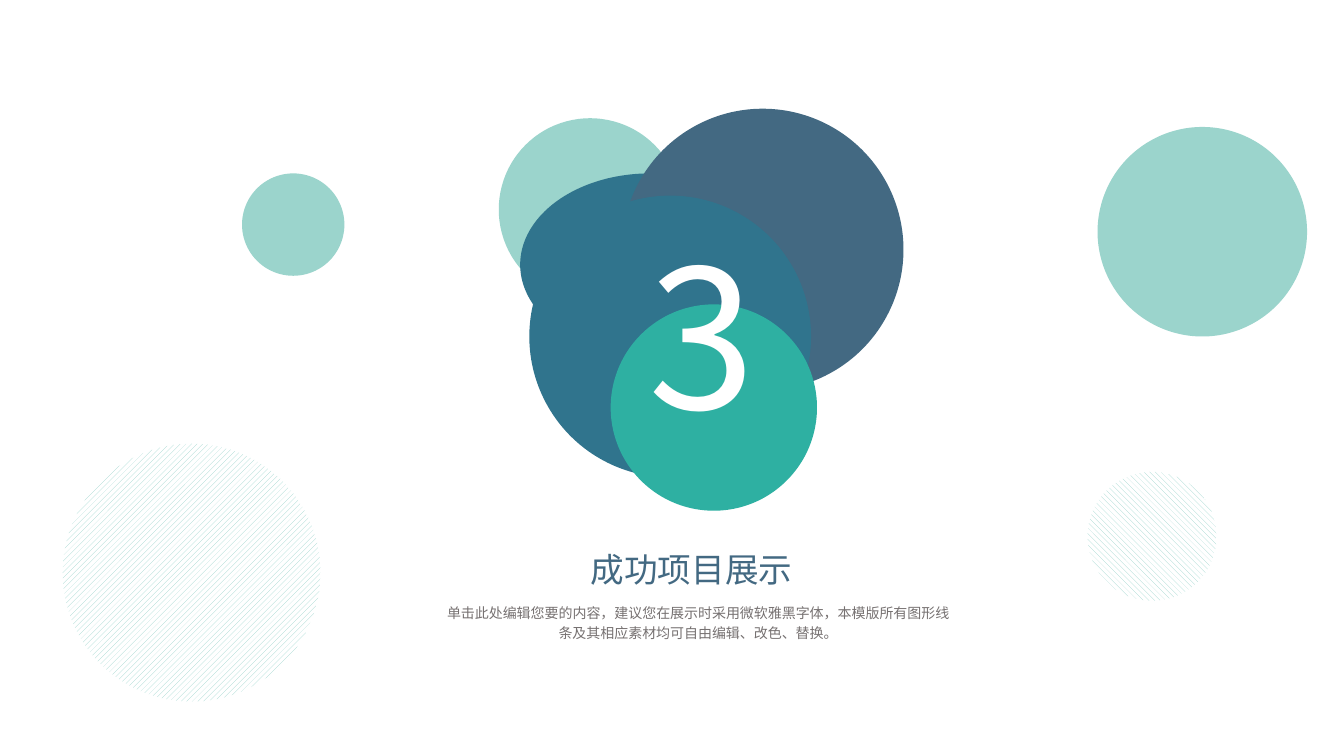
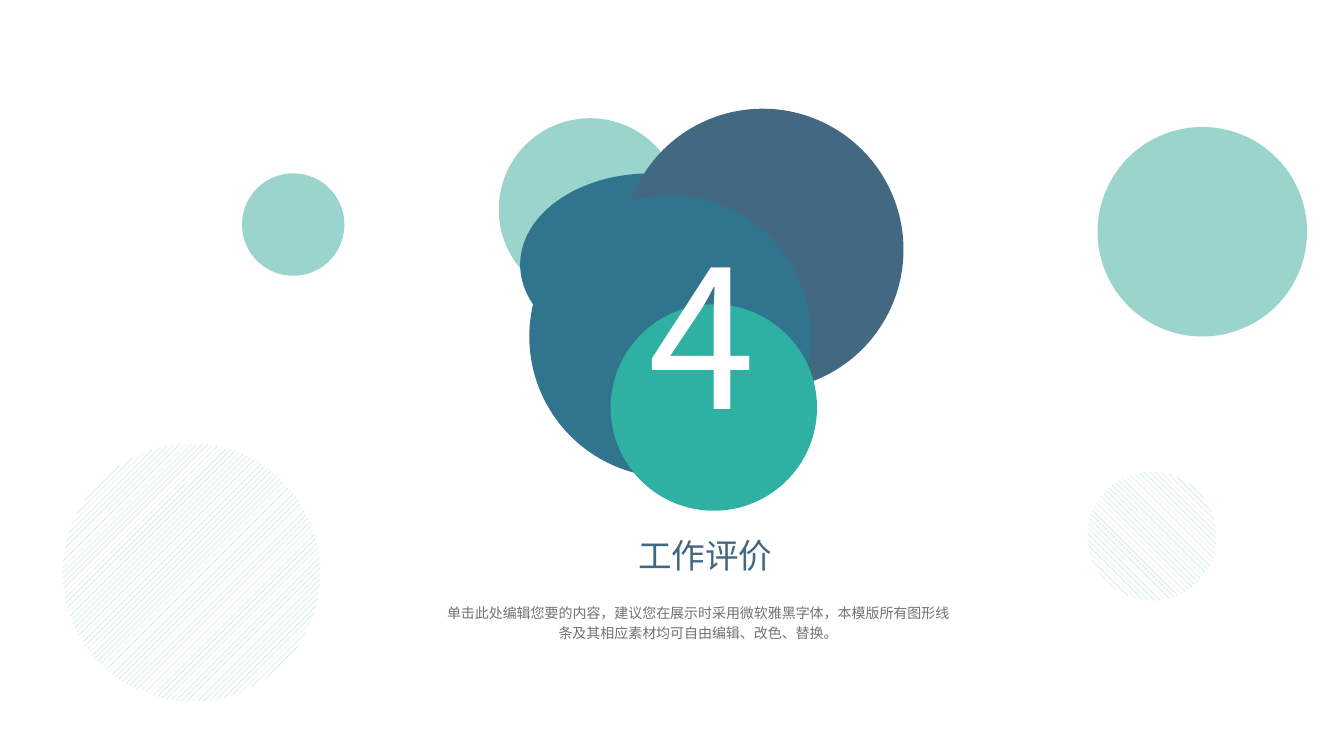
import dataclasses
import typing

import lxml.etree
import pptx
import pptx.dml.color
import pptx.enum.dml
import pptx.enum.shapes
import pptx.enum.text
import pptx.oxml.ns
import pptx.util

Cm = pptx.util.Cm
Pattern = pptx.enum.dml.MSO_PATTERN_TYPE

# Shared style
FONT = "Noto Sans CJK SC"
WHITE = "FFFFFF"
MINT = "9BD4CC"
TEAL = "2EB0A2"
PETROL = "30748D"
SLATE = "436982"
GREY = "767171"

DESCRIPTION = (
    "单击此处编辑您要的内容，建议您在展示时采用微软雅黑字体，"
    "本模版所有图形线条及其相应素材均可自由编辑、改色、替换。"
)


@dataclasses.dataclass(frozen=True)
class Box:
    """Position and size in centimetres."""
    left: float
    top: float
    width: float
    height: float

    def lengths(self) -> tuple:
        return tuple(Cm(value) for value in dataclasses.astuple(self))


@dataclasses.dataclass(frozen=True)
class Bubble:
    left: float
    top: float
    width: float
    color: str
    height: typing.Optional[float] = None  # a circle unless given
    pattern: typing.Any = None

    def box(self) -> Box:
        return Box(self.left, self.top, self.width, self.height or self.width)


@dataclasses.dataclass(frozen=True)
class TextStyle:
    size: float
    color: str
    inset_x: float = 0.25
    inset_y: float = 0.13
    wrap: bool = False


@dataclasses.dataclass(frozen=True)
class Section:
    number: str
    title: str
    title_box: Box


# Circles around the centre, and the overlapping cluster behind the number
SCATTERED = [
    Bubble(27.66, 3.2, 5.28, MINT),
    Bubble(6.1, 4.37, 2.58, MINT),
    Bubble(1.58, 11.18, 6.5, MINT, pattern=Pattern.WIDE_UPWARD_DIAGONAL),
    Bubble(27.41, 11.89, 3.25, MINT, pattern=Pattern.WIDE_DOWNWARD_DIAGONAL),
]
CLUSTER = [
    Bubble(12.57, 2.98, 4.6, MINT),
    Bubble(13.11, 4.37, 6.55, PETROL, height=4.6),
    Bubble(15.67, 2.74, 7.1, SLATE),
    Bubble(13.34, 4.93, 7.1, PETROL),
    Bubble(15.39, 7.67, 5.2, TEAL),
]

NUMBER_BOX = Box(16.1, 5.33, 3.4, 6.15)
DESCRIPTION_BOX = Box(11.15, 15.14, 12.88, 0.99)
NUMBER_STYLE = TextStyle(138, WHITE)
TITLE_STYLE = TextStyle(24, SLATE, inset_x=0.18, inset_y=0.1)
DESCRIPTION_STYLE = TextStyle(10, GREY, inset_x=0, inset_y=0, wrap=True)

SECTIONS = [
    Section("3", "成功项目展示", Box(14.71, 13.72, 5.51, 1.22)),
    Section("4", "工作评价", Box(15.9, 13.39, 3.81, 1.22)),
]


def set_color(target: typing.Any, color: str) -> None:
    target.rgb = pptx.dml.color.RGBColor.from_string(color)


def add_bubble(shapes: typing.Any, bubble: Bubble) -> None:
    shape = shapes.add_shape(
        pptx.enum.shapes.MSO_SHAPE.OVAL, *bubble.box().lengths())
    shape.shadow.inherit = False
    shape.line.fill.background()
    if bubble.pattern is None:
        shape.fill.solid()
    else:
        shape.fill.patterned()
        shape.fill.pattern = bubble.pattern
        set_color(shape.fill.back_color, WHITE)
    set_color(shape.fill.fore_color, bubble.color)


def add_text(slide: typing.Any, text: str, box: Box,
             style: TextStyle) -> typing.Any:
    """Add a one-paragraph text box and return its paragraph."""
    shape = slide.shapes.add_textbox(*box.lengths())
    frame = shape.text_frame
    frame.text = text
    frame.word_wrap = style.wrap
    frame.auto_size = pptx.enum.text.MSO_AUTO_SIZE.SHAPE_TO_FIT_TEXT
    frame.margin_left = frame.margin_right = Cm(style.inset_x)
    frame.margin_top = frame.margin_bottom = Cm(style.inset_y)
    paragraph = frame.paragraphs[0]
    font = paragraph.runs[0].font
    font.size = pptx.util.Pt(style.size)
    font.name = FONT
    set_color(font.color, style.color)
    # East Asian characters take their font from a separate element
    for properties in shape.element.iter(pptx.oxml.ns.qn("a:rPr")):
        lxml.etree.SubElement(
            properties, pptx.oxml.ns.qn("a:ea"), typeface=FONT)
    return paragraph


def add_section(presentation: typing.Any, section: Section) -> None:
    slide = presentation.slides.add_slide(presentation.slide_layouts[6])
    # Bubbles
    for bubble in SCATTERED:
        add_bubble(slide.shapes, bubble)
    cluster = slide.shapes.add_group_shape()
    for bubble in CLUSTER:
        add_bubble(cluster.shapes, bubble)
    # Number, title and description
    add_text(slide, section.number, NUMBER_BOX, NUMBER_STYLE)
    add_text(slide, section.title, section.title_box, TITLE_STYLE)
    paragraph = add_text(slide, DESCRIPTION, DESCRIPTION_BOX, DESCRIPTION_STYLE)
    paragraph.alignment = pptx.enum.text.PP_ALIGN.CENTER
    paragraph.line_spacing = 1.2
    paragraph.space_before = pptx.util.Pt(2)


def main() -> None:
    presentation = pptx.Presentation()
    presentation.slide_width = Cm(33.87)
    presentation.slide_height = Cm(19.05)
    for section in SECTIONS:
        add_section(presentation, section)
    presentation.save("out.pptx")


if __name__ == "__main__":
    main()
